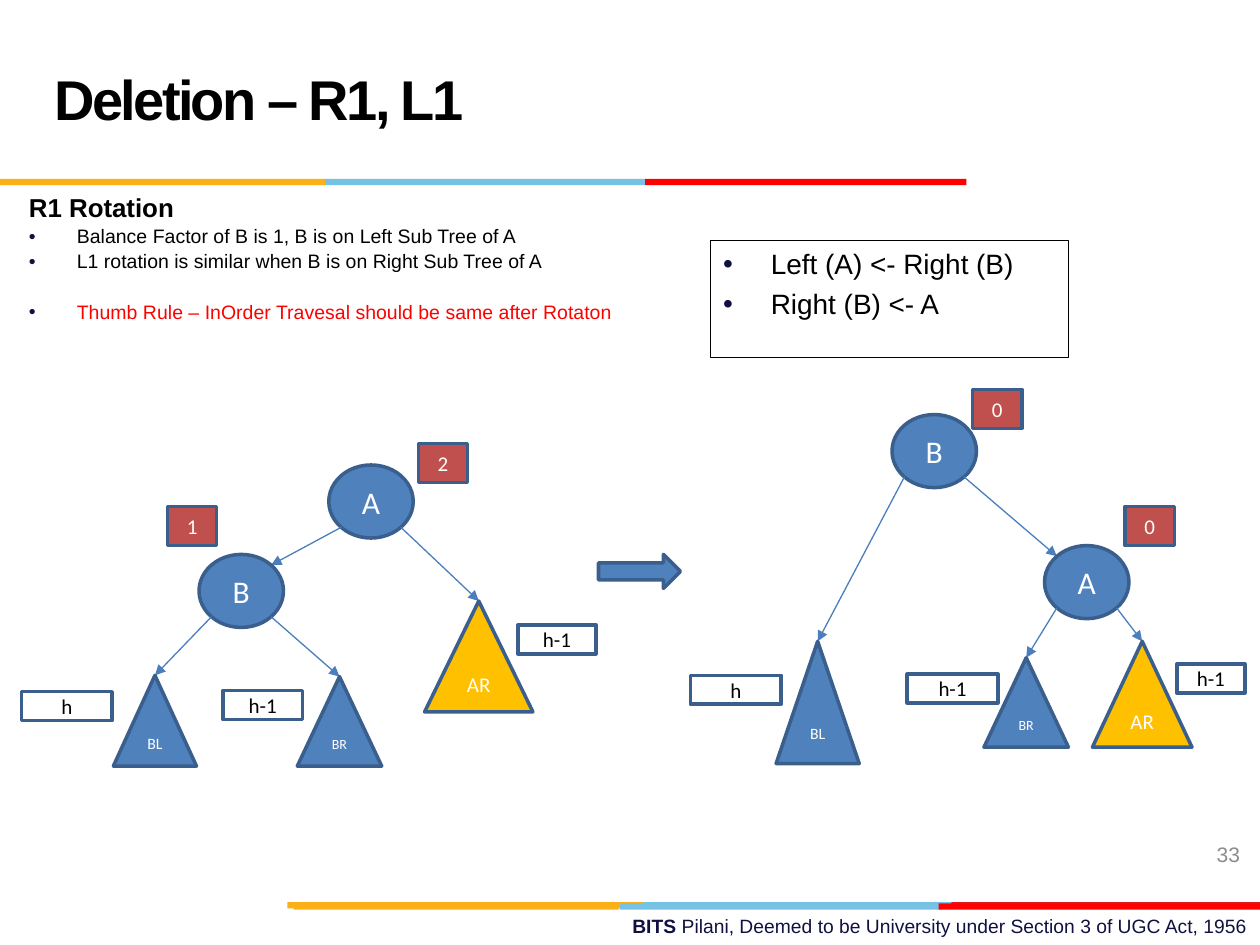
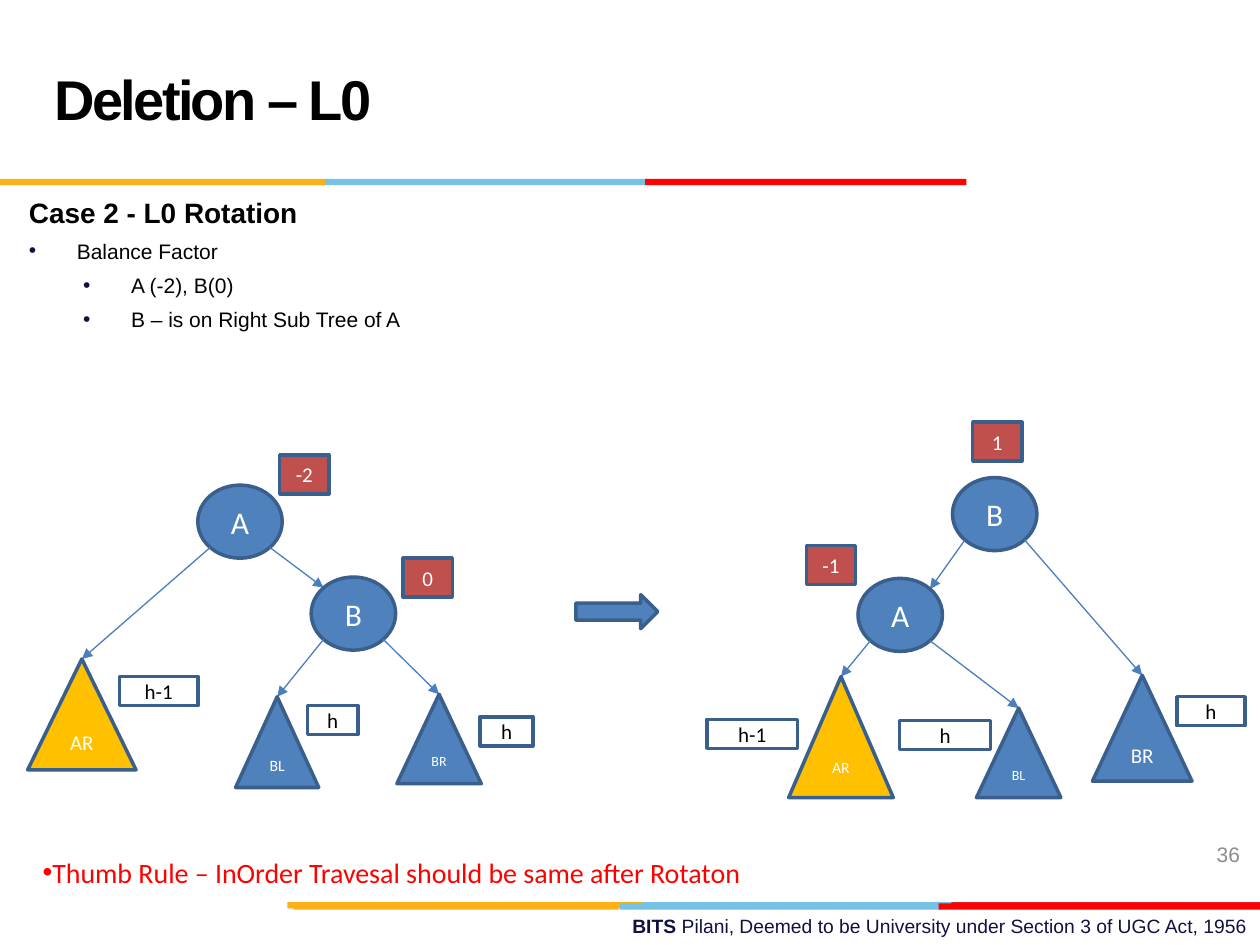
"""Build two slides on tree rotations after a deletion."""
from dataclasses import dataclass
from math import sqrt
from typing import NamedTuple

from lxml import etree
from pptx import Presentation
from pptx.dml.color import RGBColor
from pptx.enum.shapes import MSO_CONNECTOR, MSO_SHAPE
from pptx.enum.text import MSO_ANCHOR, MSO_AUTO_SIZE, PP_ALIGN
from pptx.oxml.ns import qn
from pptx.util import Emu, Inches, Pt

SLIDE_WIDTH, SLIDE_HEIGHT = Inches(10), Inches(7.5)
COLUMN, ROW = SLIDE_WIDTH // 100, SLIDE_HEIGHT // 75

RECTANGLE, TRIANGLE = MSO_SHAPE.RECTANGLE, MSO_SHAPE.ISOSCELES_TRIANGLE
CIRCLE, RIGHT_ARROW = MSO_SHAPE.FLOWCHART_CONNECTOR, MSO_SHAPE.RIGHT_ARROW
STRAIGHT = MSO_CONNECTOR.STRAIGHT
LEFT, CENTER, RIGHT = PP_ALIGN.LEFT, PP_ALIGN.CENTER, PP_ALIGN.RIGHT
TOP, MIDDLE = MSO_ANCHOR.TOP, MSO_ANCHOR.MIDDLE
NO_AUTOFIT = MSO_AUTO_SIZE.NONE

BLACK = RGBColor(0x00, 0x00, 0x00)
WHITE = RGBColor(0xFF, 0xFF, 0xFF)
GRAY = RGBColor(0x8C, 0x8C, 0x8C)
NAVY = RGBColor(0x10, 0x11, 0x41)
BLUE = RGBColor(0x4F, 0x81, 0xBD)
OUTLINE = RGBColor(0x3A, 0x5F, 0x8C)
EDGE = RGBColor(0x4B, 0x7E, 0xBC)
GOLD = RGBColor(0xFF, 0xC0, 0x00)
BRICK = RGBColor(0xC0, 0x50, 0x4D)
RED = RGBColor(0xFF, 0x00, 0x00)
BAND_RED = RGBColor(0xE3, 0x1C, 0x24)
BAND_SKY = RGBColor(0x76, 0xC2, 0xE5)
BAND_AMBER = RGBColor(0xFC, 0xB0, 0x17)

HEADING_FONT, FIGURE_FONT = "Arial", "Calibri"
THUMB_RULE = "Thumb Rule – InOrder Travesal should be same after Rotaton"
HANG = 3.8


class Box(NamedTuple):
    """A rectangle in grid columns and rows."""
    left: float
    top: float
    width: float
    height: float

    def place(self) -> list[Emu]:
        """Return the rectangle in slide units."""
        return [Emu(round(length * unit)) for length, unit in zip(self, (COLUMN, ROW) * 2)]

    @property
    def center(self) -> float:
        """Return the column of the middle."""
        return self.left + self.width / 2

    def diagonal(self, side: int, below: bool) -> tuple[float, float]:
        """Return the point of the inscribed ellipse on a diagonal."""
        reach = sqrt(2) / 4
        vertical = reach if below else -reach
        return (self.center + side * reach * self.width,
                self.top + (0.5 + vertical) * self.height)


class Band(NamedTuple):
    """A coloured strip of the slide frame."""
    left: float
    top: float
    width: float
    color: RGBColor


@dataclass(frozen=True)
class Leaf:
    """A subtree triangle with the tag that names its height."""
    label: str
    box: Box
    size: float
    tag: str
    tag_left: float
    tag_top: float
    tag_width: float

    def entry(self, side: int) -> tuple[float, float]:
        """Return the point where an edge arrives."""
        return self.box.center, self.box.top


@dataclass(frozen=True)
class Node:
    """A tree node with its balance factor and children."""
    label: str
    left: float
    top: float
    factor: str
    factor_left: float
    factor_top: float
    children: tuple

    @property
    def box(self) -> Box:
        """Return the rectangle of the circle."""
        return Box(self.left, self.top, 6.7, 5.8)

    def entry(self, side: int) -> tuple[float, float]:
        """Return the point where an edge arrives."""
        return self.box.diagonal(-side, below=False)


class Line(NamedTuple):
    """A line of a list and its format."""
    text: str
    style: dict


@dataclass(frozen=True)
class RotationSlide:
    """The content of one slide."""
    title: str
    number: str
    body: Box
    lines: tuple[Line, ...]
    trees: tuple[Node, Node]
    arrow: Box


BANDS = (
    Band(50.6, 71.6, 25.5, BAND_SKY), Band(75.5, 71.6, 24.5, BAND_RED),
    Band(22.8, 71.6, 28.2, BAND_AMBER),
    Band(49.2, 71.7, 25.5, BAND_SKY), Band(23.3, 71.7, 25.8, BAND_AMBER),
    Band(74.5, 71.7, 25.5, RED),
    Band(25.8, 14.2, 25.5, BAND_SKY), Band(0, 14.2, 25.8, BAND_AMBER),
    Band(51.2, 14.2, 25.5, RED),
)

POINT = dict(size=11.1, line_spacing=0.9, bullet=NAVY, margin=HANG, hang=HANG)
CASE = dict(size=12, line_spacing=1.2, bullet=NAVY, margin=HANG, hang=HANG)
SUBCASE = CASE | dict(margin=8.1, level=1)

R1_SLIDE = RotationSlide(
    "Deletion – R1, L1", "33", Box(1.3, 15, 53.5, 12.1),
    (Line("R1 Rotation", dict(size=14.8, bold=True, line_spacing=0.9, space_before=0)),
     Line("Balance Factor of B is 1, B is on Left Sub Tree of A", POINT),
     Line("L1 rotation is similar when B is on Right Sub Tree of A", POINT),
     Line(THUMB_RULE, POINT | dict(color=RED, space_before=16.8))),
    (Node("A", 26.1, 36.9, "2", 33.2, 35.2, (
        Node("B", 15.8, 44, "1", 13.3, 40.2, (
            Leaf("BL", Box(9, 53.6, 6.6, 7.2), 9, "h", 1.7, 54.9, 7.2),
            Leaf("BR", Box(23.6, 53.7, 6.7, 7.1), 8, "h-1", 17.7, 54.8, 6.3))),
        Leaf("AR", Box(33.7, 47.7, 8.6, 8.8), 12, "h-1", 41.1, 49.6, 6.2))),
     Node("B", 70.8, 32.9, "0", 77.2, 30.9, (
         Leaf("BL", Box(61.6, 50.9, 6.6, 9.7), 9, "h", 54.8, 53.6, 7.2),
         Node("A", 82.9, 43.3, "0", 89.3, 40.2, (
             Leaf("BR", Box(78.1, 52.2, 6.7, 7.1), 8, "h-1", 72, 53.5, 7.2),
             Leaf("AR", Box(86.7, 50.9, 7.9, 8.4), 12, "h-1", 93.4, 52.7, 5.4)))))),
    Box(47.5, 44, 6.5, 2.7),
)

L0_SLIDE = RotationSlide(
    "Deletion – L0", "36", Box(1.3, 15, 59.5, 14.3),
    (Line("Case 2 - L0 Rotation", dict(size=16, bold=True, space_before=0)),
     Line("Balance Factor", CASE),
     Line("A (-2), B(0)", SUBCASE),
     Line("B – is on Right Sub Tree of A", SUBCASE)),
    (Node("A", 15.7, 38.5, "-2", 22.2, 36.1, (
        Leaf("AR", Box(2.2, 52.3, 8.6, 8.8), 12, "h-1", 9.5, 53.7, 6.2),
        Node("B", 24.7, 45.8, "0", 32, 44.3, (
            Leaf("BL", Box(18.7, 55.3, 6.6, 7.2), 9, "h", 24.4, 56, 4),
            Leaf("BR", Box(31.5, 55.1, 6.7, 7.1), 8, "h", 38.1, 56.9, 4.2))))),
     Node("B", 75.6, 37.9, "1", 77.2, 33.5, (
         Node("A", 68.1, 45.9, "-1", 64, 43.3, (
             Leaf("AR", Box(62.6, 53.7, 8.3, 9.6), 9, "h-1", 56.1, 57.1, 7.2),
             Leaf("BL", Box(77.5, 56.2, 6.7, 7.1), 8, "h", 71.4, 57.2, 7.2))),
         Leaf("BR", Box(86.7, 53.6, 7.9, 8.4), 12, "h", 93.4, 55.3, 5.4)))),
    Box(45.7, 47.2, 6.5, 2.7),
)


def set_bullet(paragraph, color: RGBColor | None, margin: float, hang: float) -> None:
    """Set the indent and the bullet, or no bullet without a colour."""
    properties = paragraph._p.get_or_add_pPr()
    properties.set("marL", str(round(margin * COLUMN)))
    properties.set("indent", str(-round(hang * COLUMN)))
    if color is None:
        etree.SubElement(properties, qn("a:buNone"))
        return
    bullet_color = etree.SubElement(properties, qn("a:buClr"))
    etree.SubElement(bullet_color, qn("a:srgbClr"), val=str(color))
    etree.SubElement(properties, qn("a:buFont"), typeface=HEADING_FONT)
    etree.SubElement(properties, qn("a:buChar"), char="•")


def write_text(frame, text: str, *, size: float, font: str = HEADING_FONT,
               color: RGBColor = BLACK, bold: bool = False, align=LEFT,
               bullet: RGBColor | None = None, margin: float = 0, hang: float = 0,
               level: int = 0, line_spacing=None, space_before: float | None = None,
               tracking: int = 0, joined: bool = False) -> None:
    """Write a paragraph, or join the text to the last one."""
    paragraph = frame.paragraphs[-1]
    if not joined:
        if paragraph.runs:
            paragraph = frame.add_paragraph()
        set_bullet(paragraph, bullet, margin, hang)
        paragraph.alignment = align
        paragraph.level = level
        if line_spacing is not None:
            paragraph.line_spacing = line_spacing
        if space_before is not None:
            paragraph.space_before = Pt(space_before)
    run = paragraph.add_run()
    run.text = text
    run.font.name, run.font.size, run.font.bold = font, Pt(size), bold
    run.font.color.rgb = color
    if tracking:
        run.font._element.set("spc", str(tracking))


def add_figure(slide, kind, box: Box, fill: RGBColor | None,
               outline: RGBColor | None = OUTLINE, weight: float = 2):
    """Add a preset shape with plain fill and outline."""
    shape = slide.shapes.add_shape(kind, *box.place())
    shape.shadow.inherit = False
    if fill is None:
        shape.fill.background()
    else:
        shape.fill.solid()
        shape.fill.fore_color.rgb = fill
    if outline is None:
        shape.line.fill.background()
    else:
        shape.line.color.rgb = outline
        shape.line.width = Pt(weight)
    return shape


def add_label(slide, kind, box: Box, fill: RGBColor, text: str,
              size: float = 12, color: RGBColor = WHITE) -> None:
    """Add a shape with a centred label."""
    frame = add_figure(slide, kind, box, fill).text_frame
    frame.margin_left = frame.margin_right = 0
    frame.vertical_anchor = MIDDLE
    write_text(frame, text, size=size, font=FIGURE_FONT, color=color, align=CENTER)


def add_text_box(slide, box: Box, anchor=TOP):
    """Add a wrapping text box and return its frame."""
    frame = slide.shapes.add_textbox(*box.place()).text_frame
    frame.word_wrap = True
    frame.vertical_anchor = anchor
    return frame


def prepare_placeholder(placeholder, box: Box, anchor=TOP):
    """Move a placeholder and return its frame."""
    placeholder.left, placeholder.top, placeholder.width, placeholder.height = box.place()
    frame = placeholder.text_frame
    frame.auto_size, frame.vertical_anchor, frame.word_wrap = NO_AUTOFIT, anchor, True
    return frame


def add_edge(slide, parent: Node, child: Node | Leaf) -> None:
    """Draw the arrow from a node to its child."""
    side = 1 if child.box.center > parent.box.center else -1
    start = Box(*parent.box.diagonal(side, below=True), 0, 0).place()[:2]
    end = Box(*child.entry(side), 0, 0).place()[:2]
    connector = slide.shapes.add_connector(STRAIGHT, *start, *end)
    connector.line.color.rgb = EDGE
    connector.line.width = Pt(0.75)
    etree.SubElement(connector.line._get_or_add_ln(), qn("a:tailEnd"), type="triangle")
    etree.SubElement(connector._element.spPr, qn("a:effectLst"))


def draw_tree(slide, tree: Node | Leaf) -> None:
    """Draw a node or leaf and everything below it."""
    if isinstance(tree, Leaf):
        fill = GOLD if tree.label == "AR" else BLUE
        add_label(slide, TRIANGLE, tree.box, fill, tree.label, tree.size)
        tag_box = Box(tree.tag_left, tree.tag_top, tree.tag_width, 2.3)
        add_label(slide, RECTANGLE, tag_box, WHITE, tree.tag, color=BLACK)
        return
    add_label(slide, CIRCLE, tree.box, BLUE, tree.label, 18)
    factor_box = Box(tree.factor_left, tree.factor_top, 3.9, 3.1)
    add_label(slide, RECTANGLE, factor_box, BRICK, tree.factor)
    for child in tree.children:
        add_edge(slide, tree, child)
        draw_tree(slide, child)


def add_rotation_slide(presentation, content: RotationSlide):
    """Add a slide with its frame, list and two trees."""
    slide = presentation.slides.add_slide(presentation.slide_layouts[1])
    footer = add_text_box(slide, Box(35.8, 72.1, 64.2, 2.9))
    write_text(footer, "BITS ", size=11, color=NAVY, bold=True, align=RIGHT)
    write_text(footer, "Pilani, Deemed to be University under Section 3 of UGC Act, 1956",
               size=11, color=NAVY, joined=True)
    for band in BANDS:
        add_figure(slide, RECTANGLE, Box(band.left, band.top, band.width, 0.5),
                   band.color, outline=None)
    title = prepare_placeholder(slide.shapes.title, Box(3.3, 1.7, 71.7, 12.5), MIDDLE)
    write_text(title, content.title, size=32, bold=True, line_spacing=Pt(36), tracking=-150)
    number = add_text_box(slide, Box(76.1, 65.8, 23.3, 4), MIDDLE)
    write_text(number, content.number, size=12, color=GRAY, align=RIGHT)
    body = prepare_placeholder(slide.placeholders[1], content.body)
    for line in content.lines:
        write_text(body, line.text, **line.style)
    for tree in content.trees:
        draw_tree(slide, tree)
    add_figure(slide, RIGHT_ARROW, content.arrow, BLUE)
    return slide


def main() -> None:
    """Build and save the presentation."""
    presentation = Presentation()
    presentation.slide_width, presentation.slide_height = SLIDE_WIDTH, SLIDE_HEIGHT
    r1_slide = add_rotation_slide(presentation, R1_SLIDE)
    steps = add_figure(r1_slide, RECTANGLE, Box(56.4, 19.1, 28.4, 9.3), None, BLACK, 0.75).text_frame
    steps.vertical_anchor = TOP
    for space, step in ((0, "Left (A) <- Right (B)"), (3.7, "Right (B) <- A")):
        write_text(steps, step, size=16, bullet=NAVY, margin=HANG, hang=HANG, space_before=space)
    l0_slide = add_rotation_slide(presentation, L0_SLIDE)
    write_text(add_text_box(l0_slide, Box(2.4, 67.4, 67.6, 3.7)), THUMB_RULE,
               size=16, font=FIGURE_FONT, color=RED, bullet=RED)
    presentation.save("out.pptx")


if __name__ == "__main__":
    main()
